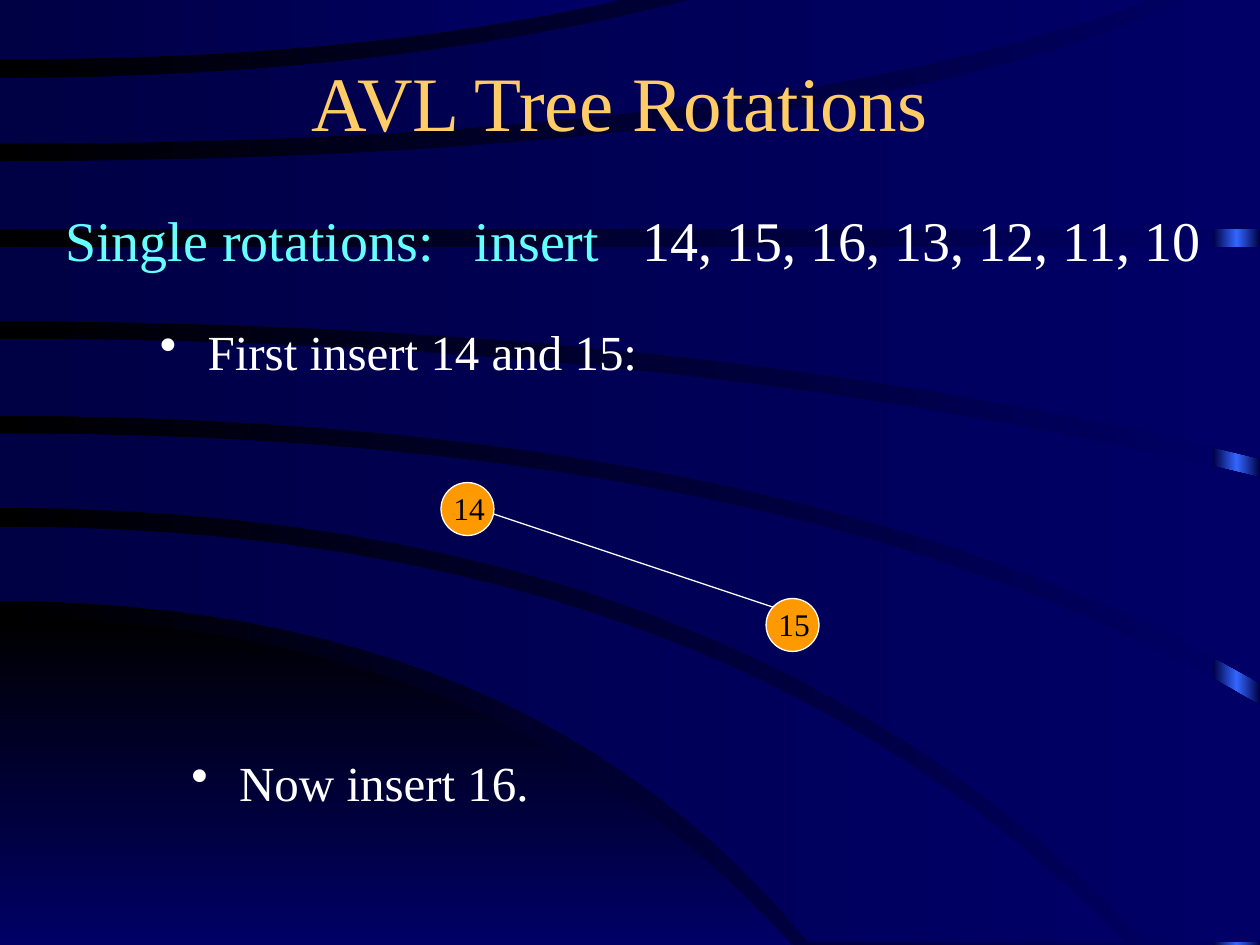
from copy import deepcopy

from pptx import Presentation
from pptx.dml.color import RGBColor
from pptx.enum.shapes import MSO_CONNECTOR as CONN, MSO_SHAPE as SHAPE
from pptx.enum.text import MSO_ANCHOR as ANCHOR, PP_ALIGN as ALIGN
from pptx.oxml.ns import qn
from pptx.util import Inches, Pt
from lxml.etree import SubElement

BLACK, NAVY, BLUE, BRIGHT = "000000", "000044", "000066", "3366FF"
WHITE, GOLD, CYAN, ORANGE = "FFFFFF", "FFCC66", "66FFFF", "FF9900"
NODE = 0.42
STEPS = 24


def rgb(value):
    return RGBColor.from_string(value)


def arc(y, pull, end_x, end_y):
    points = []
    for i in range(STEPS + 1):
        t = i / STEPS
        points.append((2 * t * (1 - t) * pull + t * t * end_x,
                       y + t * t * (end_y - y)))
    return points


def level(y, end_x):
    return [(0, y), (end_x, y)]


def band(upper, lower, corner=()):
    return [*upper, *corner, *reversed(lower)]


CORNER = band(arc(4.91, 3.98, 6.28, 7.5), level(7.5, 6.28))
BANDS = [
    band(arc(4.18, 5.74, 8.93, 7.48), arc(4.77, 4.19, 6.42, 7.48)),
    band(arc(3.44, 6.4, 10, 5.6), arc(4.03, 5.88, 9.09, 7.48), [(10, 7.48)]),
    band(arc(2.69, 5.54, 10, 3.79), arc(3.3, 6.3, 10, 5.42)),
    band(level(1.96, 10), arc(2.55, 5.64, 10, 3.64)),
    band(arc(1.28, 6.66, 9.4, 0), level(1.82, 10), [(10, 0)]),
    band(arc(0.62, 3.06, 5.48, 0), arc(1.14, 6.1, 9.12, 0)),
    band(level(0, 4.91), arc(0.47, 2.85, 4.91, 0)),
]


class Deck:
    font = "Times New Roman"

    def __init__(self, slide):
        self.slide = slide
        self.shapes = slide.shapes

    def gradient(self, fill, element, colors, angle=0):
        fill.gradient()
        fill.gradient_angle = angle
        stops = next(element.iter(qn("a:gsLst")))
        for _ in colors[2:]:
            stops.append(deepcopy(stops[0]))
        for i, (stop, color) in enumerate(zip(fill.gradient_stops, colors)):
            stop.color.rgb = rgb(color)
            stop.position = i / (len(colors) - 1)

    def background(self, colors):
        self.gradient(self.slide.background.fill, self.slide.element, colors)

    def finish(self, sp, colors, angle=0):
        sp.shadow.inherit = False
        sp.line.fill.background()
        self.gradient(sp.fill, sp.element, colors, angle)

    def bar(self, x, y, w, h, colors):
        box = map(Inches, (x, y, w, h))
        self.finish(self.shapes.add_shape(SHAPE.RECTANGLE, *box), colors)

    def outline(self, points, colors, angle=0):
        start, *rest = [(Inches(x), Inches(y)) for x, y in points]
        builder = self.shapes.build_freeform(*start)
        builder.add_line_segments(rest, close=True)
        self.finish(builder.convert_to_shape(), colors, angle)

    def text(self, x, y, w, h, runs, size, align=ALIGN.LEFT, anchor=ANCHOR.TOP):
        tf = self.shapes.add_textbox(*map(Inches, (x, y, w, h))).text_frame
        tf.word_wrap = True
        tf.vertical_anchor = anchor
        p = tf.paragraphs[0]
        p.alignment = align
        for words, color in runs:
            r = p.add_run()
            r.text = words
            r.font.name = self.font
            r.font.size = Pt(size)
            r.font.color.rgb = rgb(color)
        return p

    def tabs(self, p, stops):
        tab_list = SubElement(p._p.get_or_add_pPr(), qn("a:tabLst"))
        for stop in stops:
            SubElement(tab_list, qn("a:tab"), pos=str(Inches(stop)), algn="l")

    def bullet(self, x, y, words):
        p = self.text(x, y, 4, 0.67, [(words, WHITE)], 28)
        pPr = p._p.get_or_add_pPr()
        pPr.set("marL", str(Inches(0.38)))
        pPr.set("indent", str(Inches(-0.38)))
        SubElement(SubElement(pPr, qn("a:buClr")), qn("a:srgbClr"), val=WHITE)
        SubElement(pPr, qn("a:buChar"), char="•")

    def node(self, x, y, key):
        sp = self.shapes.add_shape(SHAPE.OVAL, *map(Inches, (x, y, NODE, NODE)))
        sp.shadow.inherit = False
        sp.fill.solid()
        sp.fill.fore_color.rgb = rgb(ORANGE)
        sp.line.color.rgb = rgb(WHITE)
        sp.line.width = Pt(0.75)
        self.text(x, y, 0.5, 0.4, [(key, BLACK)], 18)

    def edge(self, x1, y1, x2, y2):
        line = self.shapes.add_connector(CONN.STRAIGHT, *map(Inches, (x1, y1, x2, y2)))
        line.line.color.rgb = rgb(WHITE)
        line.line.width = Pt(0.75)
        SubElement(line._element.spPr, qn("a:effectLst"))


def main():
    prs = Presentation()
    prs.slide_width, prs.slide_height = Inches(10), Inches(7.5)
    deck = Deck(prs.slides.add_slide(prs.slide_layouts[6]))

    deck.background([BLACK, BLUE])
    deck.bar(9.63, 0, 0.37, 7.5, [NAVY, BRIGHT, NAVY])
    deck.outline(CORNER, [BLACK, BLUE], 270)
    for points in BANDS:
        deck.outline(points, [NAVY, BLUE])

    deck.text(0.67, 0.17, 8.5, 1.25, [("AVL Tree Rotations", GOLD)], 44,
              ALIGN.CENTER, ANCHOR.MIDDLE)
    p = deck.text(0.42, 1.58, 9.33, 0.67, [("Single rotations:\tinsert\t", CYAN),
                                           ("14, 15, 16, 13, 12, 11, 10", WHITE)], 32)
    deck.tabs(p, [3.25, 4.58])

    deck.node(3.5, 3.83, "14")
    deck.edge(3.92, 4.08, 6.17, 4.83)
    deck.node(6.08, 4.75, "15")
    deck.bullet(1.17, 2.5, "First insert 14 and 15:")
    deck.bullet(1.42, 5.92, "Now insert 16.")
    prs.save("out.pptx")


if __name__ == "__main__":
    main()
